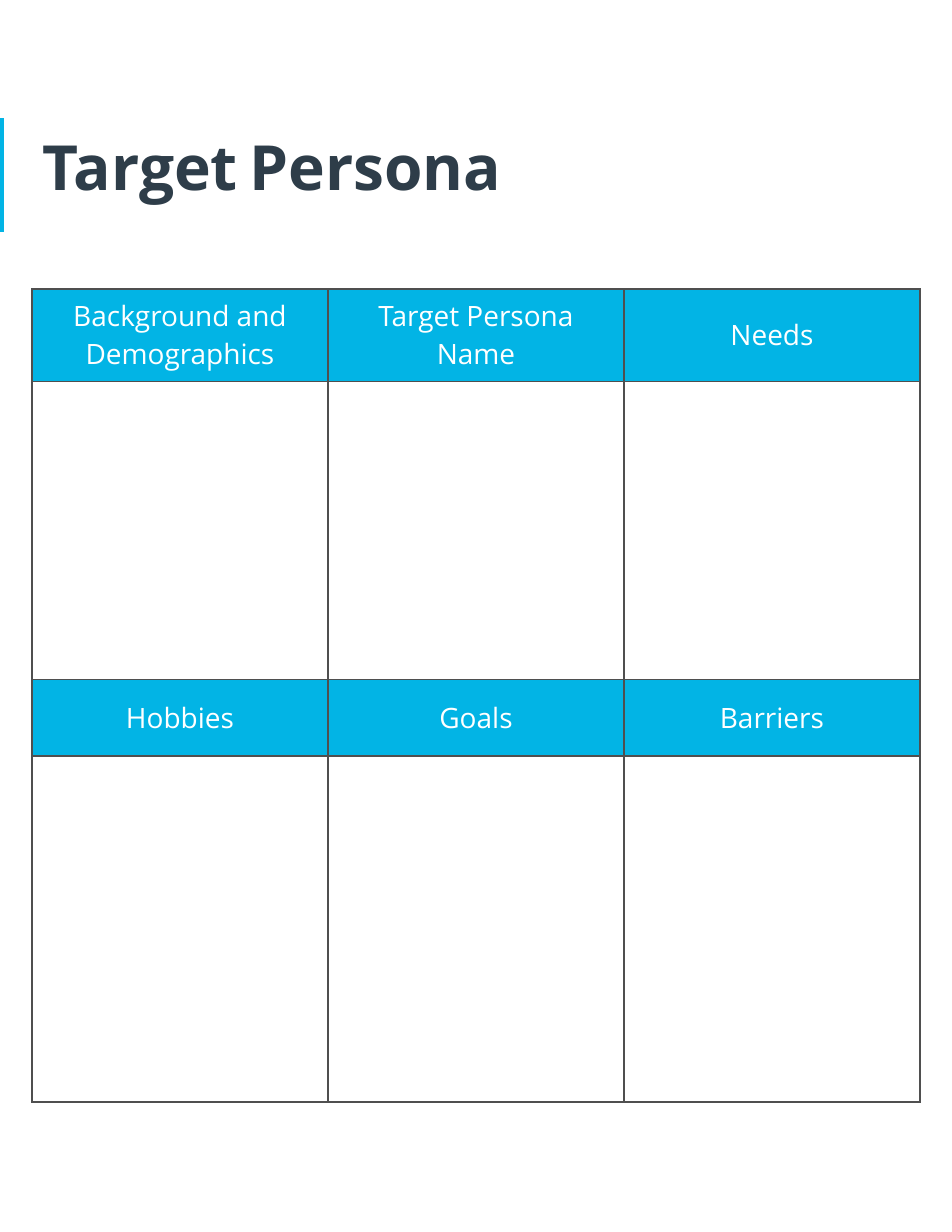
from lxml.etree import SubElement
from pptx import Presentation
from pptx.dml.color import RGBColor
from pptx.enum.shapes import MSO_SHAPE
from pptx.enum.text import MSO_ANCHOR, PP_ALIGN
from pptx.oxml.ns import qn
from pptx.util import Pt

PX = 914400 // 112
FONT = "Open Sans"
COLORS = {"accent": "02B4E5", "title": "2E3D49", "white": "FFFFFF",
          "black": "000000", "border": "4F4F4F"}
HEADINGS = [["Background and Demographics", "Target Persona Name", "Needs"],
            ["Hobbies", "Goals", "Barriers"]]
ROW_HEIGHTS = [87, 298, 77, 346]


def px(*lengths):
    """Turn pixel lengths into EMU."""
    return [n * PX for n in lengths]


def rgb(name):
    """Look up a palette colour."""
    return RGBColor.from_string(COLORS[name])


def add_text(p, text, size, color, bold=False, align=PP_ALIGN.LEFT):
    """Add one formatted run to a paragraph."""
    p.alignment = align
    r = p.add_run()
    r.text = text
    r.font.name, r.font.size, r.font.bold = FONT, Pt(size), bold
    r.font.color.rgb = rgb(color)


def set_borders(cell):
    """Draw a thin line on all four sides of a cell."""
    pr = cell._tc.get_or_add_tcPr()
    for i, side in enumerate(("a:lnL", "a:lnR", "a:lnT", "a:lnB")):
        ln = SubElement(pr, qn(side), w=str(Pt(1)))
        fill = SubElement(ln, qn("a:solidFill"))
        SubElement(fill, qn("a:srgbClr"), val=COLORS["border"])
        pr.remove(ln)
        pr.insert(i, ln)


def add_title(s, left, top, width, height):
    """Place the title and the accent bar at the page edge beside it."""
    bar = s.shapes.add_shape(MSO_SHAPE.RECTANGLE, *px(0, top + 12, 4, 114))
    bar.shadow.inherit = False
    bar.fill.solid()
    bar.fill.fore_color.rgb = rgb("accent")
    bar.line.fill.background()

    sp = s.shapes.title
    sp.left, sp.top, sp.width, sp.height = px(left, top, width, height)
    tf = sp.text_frame
    tf.word_wrap = True
    tf.vertical_anchor = MSO_ANCHOR.TOP
    tf.margin_left = tf.margin_right = tf.margin_top = tf.margin_bottom = 11 * PX
    p = tf.paragraphs[0]
    p.line_spacing = 1.15
    add_text(p, "Target", 40, "title", bold=True)
    add_text(p, " ", 28, "black")
    add_text(p, "Persona", 40, "title", bold=True)


def add_persona_table(s, left, top, width):
    """Place the grid of heading rows, each above a row of empty cells."""
    cols = len(HEADINGS[0])
    frame = s.shapes.add_table(len(ROW_HEIGHTS), cols,
                               *px(left, top, width, sum(ROW_HEIGHTS)))
    table = frame.table
    table.first_row = table.horz_banding = False
    for col in table.columns:
        col.width = width // cols * PX
    for i, height in enumerate(ROW_HEIGHTS):
        table.rows[i].height = height * PX
        for j in range(cols):
            cell = table.cell(i, j)
            cell.margin_left = cell.margin_right = 8 * PX
            cell.margin_top = cell.margin_bottom = 8 * PX
            is_heading = i % 2 == 0
            cell.fill.solid()
            cell.fill.fore_color.rgb = rgb("accent" if is_heading else "white")
            set_borders(cell)
            if is_heading:
                cell.vertical_anchor = MSO_ANCHOR.MIDDLE
                add_text(cell.text_frame.paragraphs[0], HEADINGS[i // 2][j],
                         18, "white", align=PP_ALIGN.CENTER)


prs = Presentation()
prs.slide_width, prs.slide_height = px(952, 1232)
s = prs.slides.add_slide(prs.slide_layouts[5])
add_title(s, 32, 106, 888, 137)
add_persona_table(s, 32, 289, 888)
prs.save("out.pptx")
